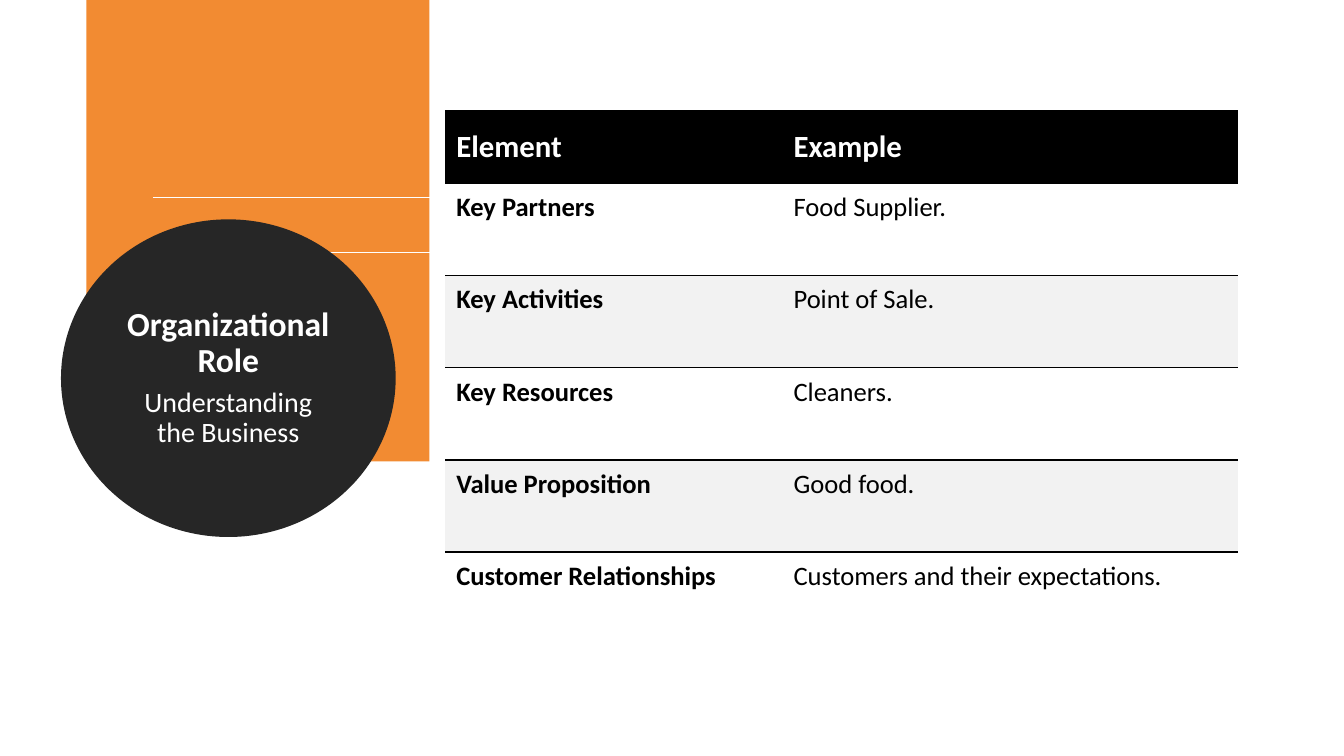
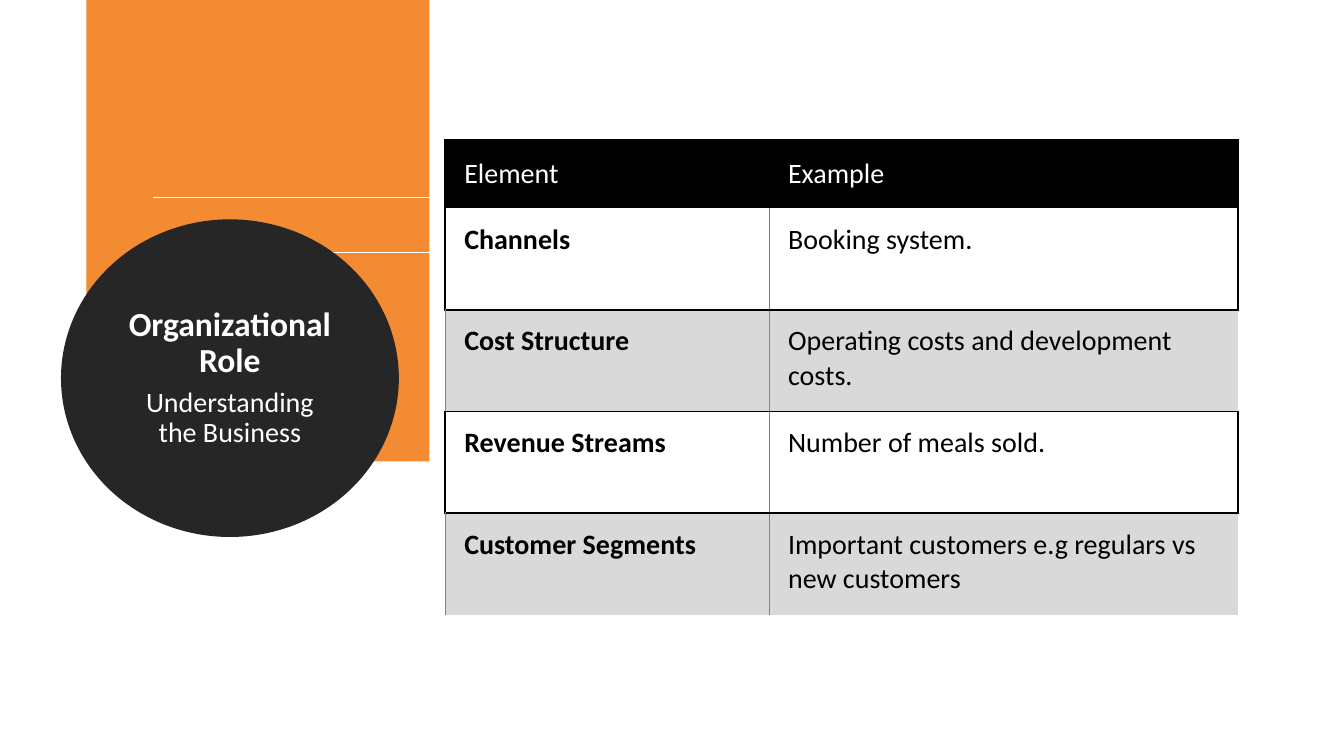
from dataclasses import dataclass
from typing import NamedTuple, Optional

import lxml.etree
import pptx
import pptx.dml.color
import pptx.enum.shapes
import pptx.enum.text
import pptx.oxml.ns
import pptx.util

Cm = pptx.util.Cm
Pt = pptx.util.Pt

FONT = "Calibri"
BLACK, WHITE, ORANGE, CHARCOAL = "000000", "FFFFFF", "F28B32", "262626"
PLAIN_TABLE = "{2D5ABB26-0587-4C30-8999-92F81FD0307C}"
TABLE_LEFT = 11.22
RULE_TOPS = (4.98, 6.35)


class Insets(NamedTuple):
    left: float
    top: float
    right: float
    bottom: float


class Edge(NamedTuple):
    color: str
    width: float


@dataclass
class TableDesign:
    top: float
    col_widths: tuple[float, float]
    header_height: float
    row_height: float
    header_insets: Insets
    insets: Insets
    header_size: float
    size: float
    header_bold: bool
    band: str
    rule: Edge
    frame: Optional[Edge] = None
    divider: Optional[Edge] = None


@dataclass
class RoleSlide:
    circle_width: float
    design: TableDesign
    rows: list[tuple[str, str]]


OPEN = TableDesign(
    top=2.78, col_widths=(8.5, 11.48), header_height=1.85, row_height=2.32,
    header_insets=Insets(0.28, 0.38, 0.2, 0.38), insets=Insets(0.28, 0.2, 0.2, 0.38),
    header_size=22, size=19, header_bold=True, band="F2F2F2", rule=Edge(BLACK, 1),
)
FRAMED = TableDesign(
    top=3.53, col_widths=(8.16, 11.82), header_height=1.72, row_height=2.56,
    header_insets=Insets(0.48, 0.36, 0.36, 0.36), insets=Insets(0.48, 0.36, 0.36, 0.36),
    header_size=20, size=20, header_bold=False, band="D9D9D9", rule=Edge(BLACK, 1.5),
    frame=Edge(BLACK, 1.5), divider=Edge("808080", 0.5),
)
HEADER = ("Element", "Example")
SLIDES = [
    RoleSlide(7.95, OPEN, [
        ("Key Partners", "Food Supplier."),
        ("Key Activities", "Point of Sale."),
        ("Key Resources", "Cleaners."),
        ("Value Proposition", "Good food."),
        ("Customer Relationships", "Customers and their expectations."),
    ]),
    RoleSlide(8.03, FRAMED, [
        ("Channels", "Booking system."),
        ("Cost Structure", "Operating costs and development costs."),
        ("Revenue Streams", "Number of meals sold."),
        ("Customer Segments", "Important customers e.g regulars vs new customers"),
    ]),
]


def rgb(color: str) -> pptx.dml.color.RGBColor:
    return pptx.dml.color.RGBColor.from_string(color)


def fill(target, color: str) -> None:
    target.fill.solid()
    target.fill.fore_color.rgb = rgb(color)


def style_runs(p, size: float, color: str, bold: bool) -> None:
    for r in p.runs:
        r.font.name = FONT
        r.font.size = Pt(size)
        r.font.bold = bold
        r.font.color.rgb = rgb(color)


def add_band(s) -> None:
    """Draw the orange band and the two thin rules that cross it."""
    rect = pptx.enum.shapes.MSO_SHAPE.RECTANGLE
    band = s.shapes.add_shape(rect, Cm(2.18), 0, Cm(8.64), Cm(11.63))
    band.shadow.inherit = False
    fill(band, ORANGE)
    band.line.fill.background()
    straight = pptx.enum.shapes.MSO_CONNECTOR.STRAIGHT
    for top in RULE_TOPS:
        rule = s.shapes.add_connector(straight, Cm(3.86), Cm(top), Cm(20.12), Cm(top))
        rule.line.color.rgb = rgb(WHITE)
        rule.line.width = Pt(0.5)
        sp_pr = rule._element.spPr
        lxml.etree.SubElement(sp_pr, pptx.oxml.ns.qn("a:effectLst"))


def add_title_circle(s, width: float) -> None:
    oval = pptx.enum.shapes.MSO_SHAPE.OVAL
    sp = s.shapes.add_shape(oval, Cm(1.78), Cm(5.77), Cm(width), Cm(7.52))
    sp.shadow.inherit = False
    fill(sp, CHARCOAL)
    sp.line.color.rgb = rgb(CHARCOAL)
    sp.line.width = Pt(13.75)
    tf = sp.text_frame
    tf.word_wrap = True
    tf.vertical_anchor = pptx.enum.text.MSO_ANCHOR.MIDDLE
    tf.text = "Organizational Role\nUnderstanding the Business"
    for p, size, bold in zip(tf.paragraphs, (24, 20), (True, False)):
        p.alignment = pptx.enum.text.PP_ALIGN.CENTER
        p.line_spacing = 0.9
        p.space_after = Pt(6)
        style_runs(p, size, WHITE, bold)


def cell_edges(design: TableDesign, row: int, col: int, last: int) -> dict[str, Edge]:
    """Choose the borders of a cell: a rule lies between each plain row and the banded row below."""
    header, banded = row == 0, row % 2 == 0
    outer = design.frame if header or not banded else None
    inner = None if header else design.divider
    edges = {
        "lnL": inner if col else outer or inner,
        "lnR": outer if col else inner,
        "lnT": design.frame if header else design.rule if banded else None,
        "lnB": design.rule if not banded and row < last else None,
    }
    return {tag: edge for tag, edge in edges.items() if edge}


def set_borders(cell, edges: dict[str, Edge]) -> None:
    qn = pptx.oxml.ns.qn
    tc_pr = cell._tc.get_or_add_tcPr()
    for tag, edge in edges.items():
        ln = lxml.etree.SubElement(tc_pr, qn(f"a:{tag}"), w=str(Pt(edge.width)))
        solid = lxml.etree.SubElement(ln, qn("a:solidFill"))
        lxml.etree.SubElement(solid, qn("a:srgbClr"), val=edge.color)


def fill_cell(cell, text: str, design: TableDesign, row: int, col: int) -> None:
    header = row == 0
    insets = design.header_insets if header else design.insets
    cell.margin_left, cell.margin_top = Cm(insets.left), Cm(insets.top)
    cell.margin_right, cell.margin_bottom = Cm(insets.right), Cm(insets.bottom)
    anchor = pptx.enum.text.MSO_ANCHOR
    cell.vertical_anchor = anchor.MIDDLE if header else anchor.TOP
    cell.text_frame.text = text
    p = cell.text_frame.paragraphs[0]
    if header:
        fill(cell, BLACK)
        style_runs(p, design.header_size, WHITE, design.header_bold)
        return
    if row % 2 == 0:
        fill(cell, design.band)
    else:
        cell.fill.background()
    style_runs(p, design.size, BLACK, col == 0)


def add_element_table(s, design: TableDesign, body: list[tuple[str, str]]) -> None:
    rows = [HEADER, *body]
    heights = [design.header_height] + [design.row_height] * len(body)
    frame = s.shapes.add_table(
        len(rows), len(HEADER), Cm(TABLE_LEFT), Cm(design.top),
        Cm(sum(design.col_widths)), Cm(sum(heights)),
    )
    table = frame.table
    table.horz_banding = False
    table._tbl.tblPr.find(pptx.oxml.ns.qn("a:tableStyleId")).text = PLAIN_TABLE
    for column, width in zip(table.columns, design.col_widths):
        column.width = Cm(width)
    for i, (texts, height) in enumerate(zip(rows, heights)):
        table.rows[i].height = Cm(height)
        for j, text in enumerate(texts):
            cell = table.cell(i, j)
            set_borders(cell, cell_edges(design, i, j, len(body)))
            fill_cell(cell, text, design, i, j)


def main() -> None:
    prs = pptx.Presentation()
    prs.slide_width, prs.slide_height = Cm(33.87), Cm(19.05)
    for content in SLIDES:
        s = prs.slides.add_slide(prs.slide_layouts[6])
        add_band(s)
        add_title_circle(s, content.circle_width)
        add_element_table(s, content.design, content.rows)
    prs.save("out.pptx")


if __name__ == "__main__":
    main()
